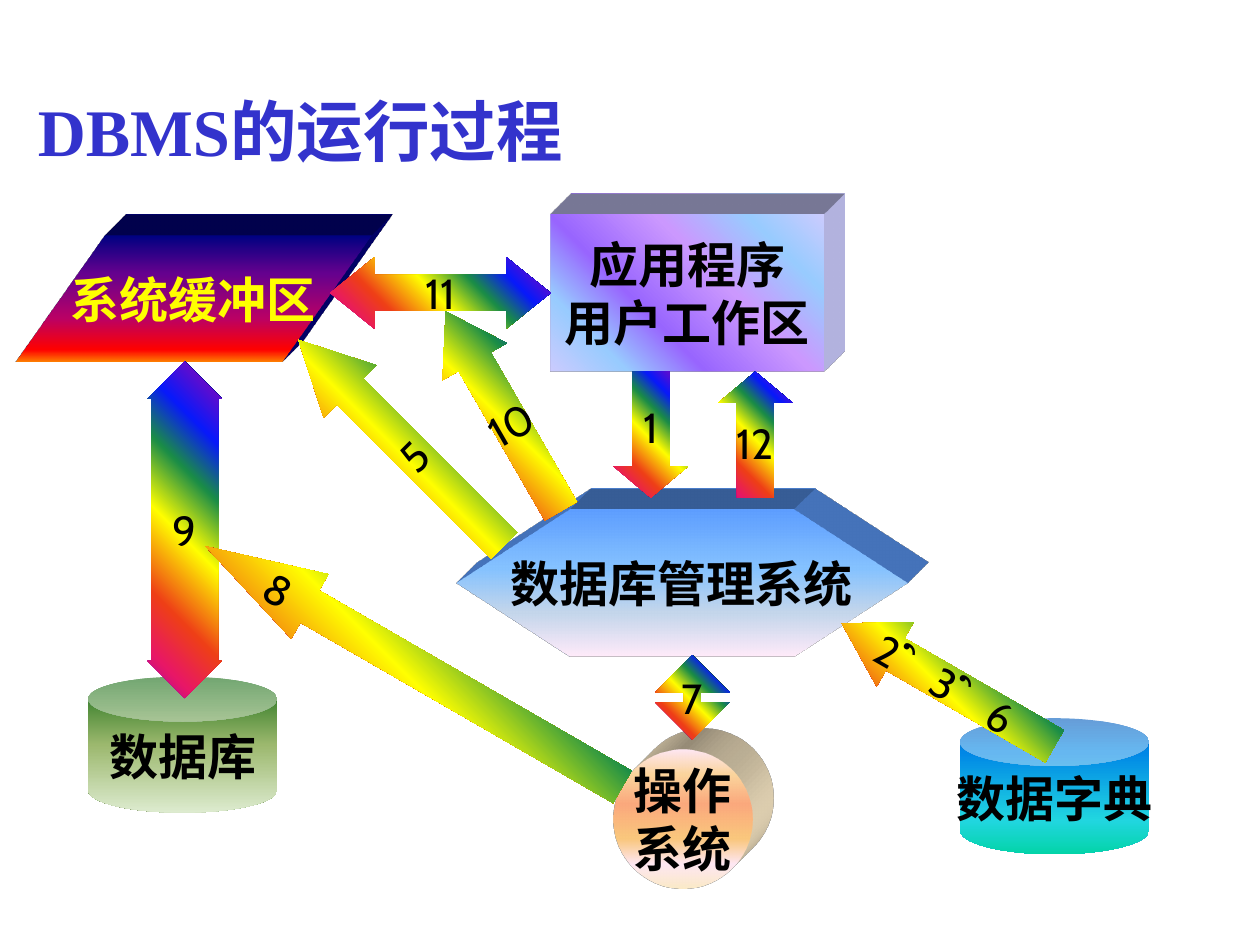
from dataclasses import dataclass

from pptx import Presentation
from pptx import util as u
from pptx.dml.color import RGBColor
from pptx.enum import shapes, text
from pptx.oxml import parse_xml
from pptx.oxml.ns import nsdecls, qn

PX = 9144  # EMU per px, 100 px to the inch
KIND = shapes.MSO_SHAPE


@dataclass(frozen=True)
class Theme:
    title_font: str = "Times New Roman"
    body_font: str = "Cabin"
    title_size: int = 38
    node_size: int = 28
    arrow_size: int = 24
    title: str = "3333CC"
    ink: str = "000000"
    highlight: str = "FFFF00"
    extrusion: int = 430200
    buffer: str = "0 000082, 30 66008F, 65 BA0066, 90 FF0000, 100 FF8200"
    application: str = ("0 CCCCFF, 18 99CCFF, 36 9966FF, 61 CC99FF, "
                        "82 99CCFF, 100 CCCCFF")
    manager: str = "0 5E9EFF, 40 85C2FF, 70 C4D6EB, 100 FFEBFA"
    dictionary: str = "0 005CBF, 25 0087E6, 75 21D6E0, 100 03D4A8"
    database: str = "0 156B13, 50 9CB86E, 100 DDEBCF"
    system: str = ("0 FEE7F2, 18 FBD49C, 39 FBA97D, 64 FAC77D, "
                   "82 FEE7F2, 100 FBEAC7")
    rainbow: str = ("0 A603AB, 12 E81766, 27 EE3F17, 48 FFFF00, "
                    "65 1A8D48, 79 0819FB, 100 A603AB")


THEME = Theme()


def set_values(target, values):
    for name, value in values.items():
        setattr(target, name, value)


def write(frame, lines, size, color, font, bold, align):
    """Fill a text frame with one paragraph per line."""
    for index, line in enumerate(lines):
        para = frame.paragraphs[0] if index == 0 else frame.add_paragraph()
        para.alignment = align
        span = para.add_run()
        span.text = line
        set_values(span.font, {"name": font, "size": u.Pt(size), "bold": bold})
        span.font.color.rgb = RGBColor.from_string(color)


def fill_gradient(shape, stops, angle):
    """Lay a gradient that keeps its direction when the shape turns."""
    shape.fill.gradient()
    gradient = shape.fill._xPr.find(qn("a:gradFill"))
    gradient.set("rotWithShape", "0")
    for child in list(gradient):
        gradient.remove(child)
    marks = "".join(
        f'<a:gs pos="{int(place) * 1000}"><a:srgbClr val="{color}"/></a:gs>'
        for place, color in (stop.split() for stop in stops.split(", ")))
    gradient.append(parse_xml(f'<a:gsLst {nsdecls("a")}>{marks}</a:gsLst>'))
    gradient.append(parse_xml(
        f'<a:lin {nsdecls("a")} ang="{angle * 60000}" scaled="1"/>'))


def extrude(shape, color):
    """Give a shape depth towards the top right."""
    properties = shape._element.spPr
    properties.append(parse_xml(
        f'<a:scene3d {nsdecls("a")}><a:camera prst="legacyObliqueTopRight"/>'
        '<a:lightRig rig="legacyFlat3" dir="b"/></a:scene3d>'))
    properties.append(parse_xml(
        f'<a:sp3d {nsdecls("a")} extrusionH="{THEME.extrusion}" '
        'prstMaterial="legacyMatte">'
        '<a:bevelT w="13500" h="13500" prst="angle"/>'
        '<a:bevelB w="13500" h="13500" prst="angle"/>'
        f'<a:extrusionClr><a:srgbClr val="{color}"/></a:extrusionClr>'
        '</a:sp3d>'))


def add_block(page, box, kind, place, adjustments, stops, angle, lines,
              size, color=THEME.ink, bold=False):
    """Add a gradient shape with centred text, placed relative to the box."""
    left, top, width, height = place
    shape = page.shapes.add_shape(
        kind, (box[0] + left) * PX, (box[1] + top) * PX, width * PX, height * PX)
    for index, value in enumerate(adjustments):
        shape.adjustments[index] = value
    fill_gradient(shape, stops, angle)
    shape.line.fill.background()
    shape.shadow.inherit = False
    set_values(shape.text_frame, {
        "word_wrap": False, "vertical_anchor": text.MSO_ANCHOR.MIDDLE})
    write(shape.text_frame, lines, size, color, THEME.body_font, bold,
          text.PP_ALIGN.CENTER)
    return shape


def draw_title(page, box):
    title = page.shapes.title
    left, top, width, height = (value * PX for value in box)
    set_values(title, {"left": left, "top": top, "width": width, "height": height})
    set_values(title.text_frame, {
        "word_wrap": True, "vertical_anchor": text.MSO_ANCHOR.MIDDLE,
        "auto_size": text.MSO_AUTO_SIZE.NONE})
    write(title.text_frame, ["DBMS的运行过程"], THEME.title_size, THEME.title,
          THEME.title_font, True, text.PP_ALIGN.LEFT)


def draw_components(page, box):
    # kind, place, adjustments, stops, angle, lines, text colour, side colour
    components = [
        (KIND.PARALLELOGRAM, (0, 17, 283, 100), [0.71], THEME.buffer, 90,
         ["系统缓冲区"], THEME.highlight, "000082"),
        (KIND.RECTANGLE, (425, 0, 217, 125), [], THEME.application, 315,
         ["应用程序", "用户工作区"], THEME.ink, "CCCCFF"),
        (KIND.HEXAGON, (350, 234, 358, 117), [0.77], THEME.manager, 90,
         ["数据库管理系统"], THEME.ink, "5E9EFF"),
        (KIND.CAN, (750, 400, 150, 108), [0.35], THEME.dictionary, 90,
         ["数据字典"], THEME.ink, None),
        (KIND.CAN, (58, 367, 150, 108), [0.33], THEME.database, 90,
         ["数据库"], THEME.ink, None),
        (KIND.OVAL, (475, 425, 110, 110), [], THEME.system, 90,
         ["操作", "系统"], THEME.ink, "FBEAC7"),
    ]
    for *form, color, side in components:
        shape = add_block(page, box, *form, THEME.node_size, color, True)
        if side:
            extrude(shape, side)


def draw_steps(page, box):
    # label, kind, place, head length, rotation, vertical text
    steps = [
        ("9", KIND.UP_DOWN_ARROW, (105, 117, 59, 267), 0.9, 0, False),
        ("11", KIND.LEFT_RIGHT_ARROW, (250, 34, 175, 57), 0.62, 0, False),
        ("12", KIND.UP_ARROW, (558, 125, 59, 100), 0.42, 0, False),
        ("1", KIND.DOWN_ARROW, (475, 125, 59, 100), 0.42, 0, False),
        ("7", KIND.UP_DOWN_ARROW, (508, 350, 59, 67), 0.23, 0, False),
        ("10", KIND.UP_ARROW, (358, 65, 59, 183), 0.78, 330, False),
        ("5", KIND.UP_ARROW, (277, 66, 59, 231), 0.98, 315, False),
        ("8", KIND.UP_ARROW, (287, 168, 59, 382), 1.62, 300, True),
        ("2，3，6", KIND.UP_ARROW, (711, 276, 59, 195), 0.83, 300, True),
    ]
    for label, kind, place, head, rotation, vertical in steps:
        arrow = add_block(page, box, kind, place, [0.5, head], THEME.rainbow,
                          315, [label], THEME.arrow_size)
        arrow.rotation = rotation
        if vertical:
            arrow.text_frame._txBody.bodyPr.set("vert", "eaVert")


def main():
    deck = Presentation()
    set_values(deck, {"slide_width": 1000 * PX, "slide_height": 750 * PX})
    page = deck.slides.add_slide(deck.slide_layouts[5])
    diagram = (12, 170)  # top left corner of the diagram
    draw_title(page, (20, 67, 961, 72))
    draw_components(page, diagram)
    draw_steps(page, diagram)
    deck.save("out.pptx")


if __name__ == "__main__":
    main()
